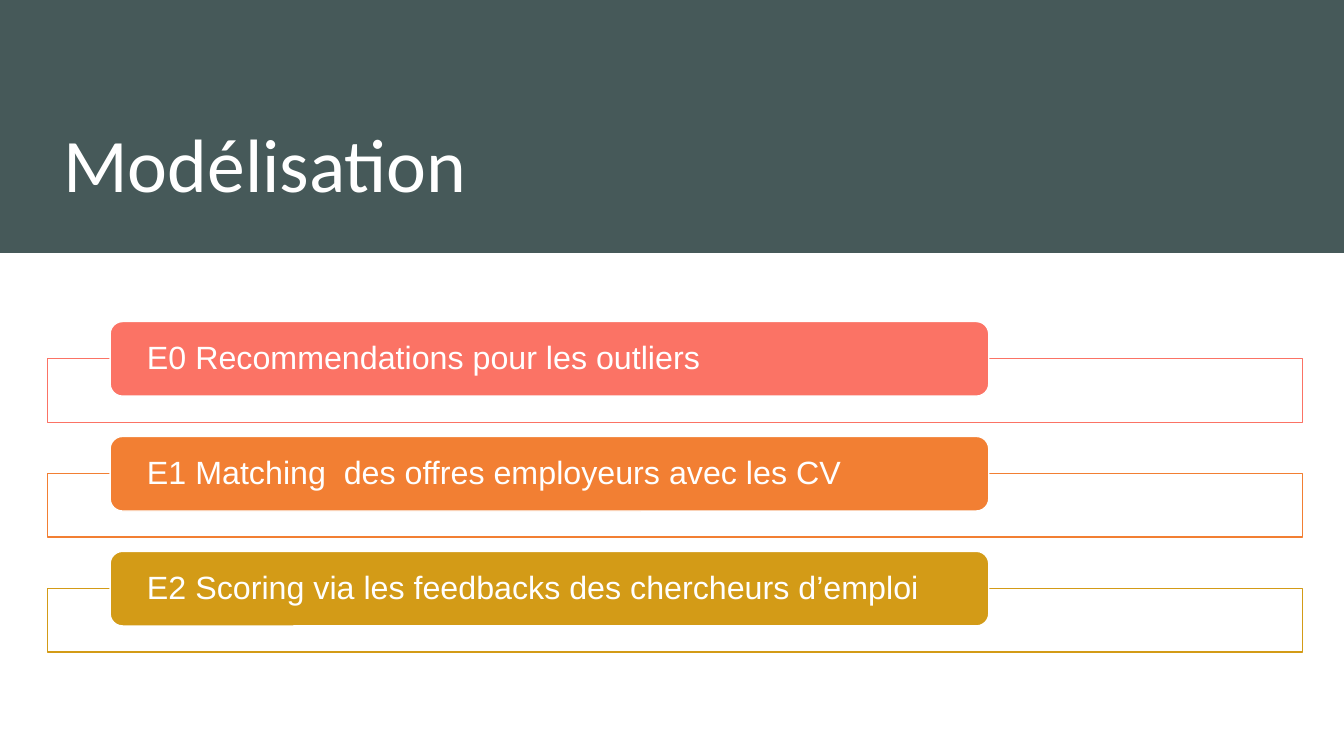
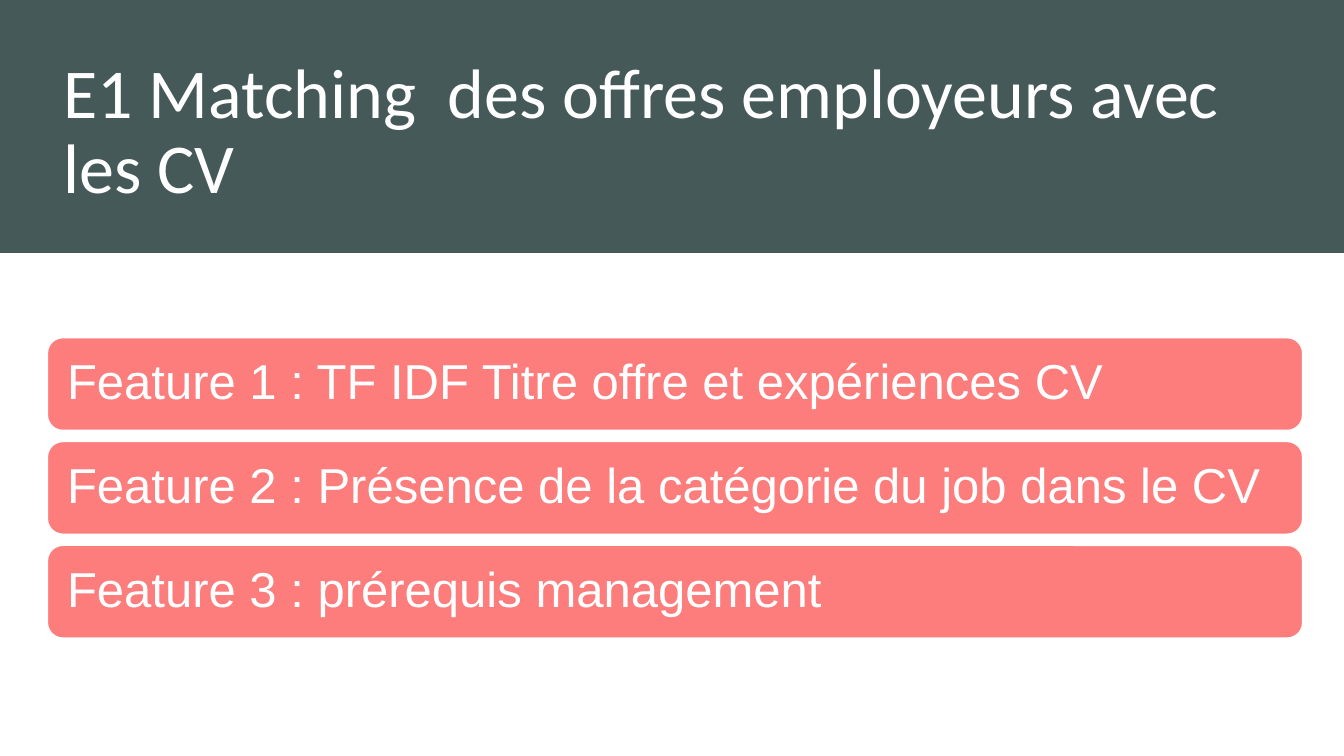
from pptx import Presentation
from pptx.dml.color import RGBColor
from pptx.enum.shapes import MSO_SHAPE
from pptx.enum.text import MSO_ANCHOR, PP_ALIGN
from pptx.util import Inches, Pt

COLORS = {
    "band": "465959",
    "white": "FFFFFF",
    "coral": "FB7365",
    "orange": "F27F33",
    "gold": "D39B17",
    "pink": "FD7C7C",
}
SLIDE_WIDTH, SLIDE_HEIGHT = 13.33, 7.5
BAND_HEIGHT = 2.51
TITLE_BOX = (0.53, 0.4, 11.89, 1.72)
CONTENT_LEFT, CONTENT_WIDTH = 0.47, 12.45

STAGES = [
    ("E0 Recommendations pour les outliers", "coral"),
    ("E1 Matching  des offres employeurs avec les CV", "orange"),
    ("E2 Scoring via les feedbacks des chercheurs d’emploi", "gold"),
]
FEATURES = [
    "Feature 1 : TF IDF Titre offre et expériences CV",
    "Feature 2 : Présence de la catégorie du job dans le CV",
    "Feature 3 : prérequis management",
]


def rgb(name):
    """Return the named colour."""
    return RGBColor.from_string(COLORS[name])


def add_block(slide, kind, box, fill, line=None):
    """Add a flat shape with a fill and an optional outline."""
    block = slide.shapes.add_shape(kind, *map(Inches, box))
    block.shadow.inherit = False
    block.fill.solid()
    block.fill.fore_color.rgb = rgb(fill)
    if line:
        block.line.color.rgb = rgb(line)
        block.line.width = Pt(1)
    else:
        block.line.fill.background()
    return block


def write_text(holder, text, font, size, anchor, insets):
    """Write one left-aligned white line of text in a shape."""
    frame = holder.text_frame
    frame.word_wrap = True
    frame.vertical_anchor = anchor
    side, edge = map(Inches, insets)
    frame.margin_left = frame.margin_right = side
    frame.margin_top = frame.margin_bottom = edge
    paragraph = frame.paragraphs[0]
    paragraph.alignment = PP_ALIGN.LEFT
    paragraph.line_spacing = 0.9
    run = paragraph.add_run()
    run.text = text
    run.font.name = font
    run.font.size = Pt(size)
    run.font.color.rgb = rgb("white")


def add_titled_slide(deck, title, size):
    """Add a blank slide with the dark band and its title."""
    slide = deck.slides.add_slide(deck.slide_layouts[6])
    add_block(slide, MSO_SHAPE.RECTANGLE, (0, 0, SLIDE_WIDTH, BAND_HEIGHT), "band")
    heading = slide.shapes.add_textbox(*map(Inches, TITLE_BOX))
    write_text(heading, title, "Calibri", size, MSO_ANCHOR.BOTTOM, (0.1, 0.05))
    return slide


def add_label(slide, box, text, fill, size, insets):
    """Add a rounded, coloured label with its text."""
    label = add_block(slide, MSO_SHAPE.ROUNDED_RECTANGLE, box, fill, "white")
    write_text(label, text, "Arial", size, MSO_ANCHOR.MIDDLE, insets)


def add_stages(slide, left, top, width, pitch=1.14):
    """Stack the stages, each a label over the top edge of a frame."""
    label_height, frame_height = 0.74, 0.63
    for index, (text, color) in enumerate(STAGES):
        label_top = top + index * pitch
        frame_box = (left, label_top + label_height / 2, width, frame_height)
        add_block(slide, MSO_SHAPE.RECTANGLE, frame_box, "white", color)
        label_box = (left + width * 0.05, label_top, width * 0.7, label_height)
        add_label(slide, label_box, text, color, 23, (0.33, 0))


def add_features(slide, left, top, width, height=0.92, gap=0.11):
    """Stack the features as full-width labels."""
    for index, text in enumerate(FEATURES):
        box = (left, top + index * (height + gap), width, height)
        add_label(slide, box, text, "pink", 35, (0.15, 0.15))


def main():
    """Build and save the two slides."""
    deck = Presentation()
    deck.slide_width = Inches(SLIDE_WIDTH)
    deck.slide_height = Inches(SLIDE_HEIGHT)
    modelling = add_titled_slide(deck, "Modélisation", 54)
    add_stages(modelling, CONTENT_LEFT, 3.19, CONTENT_WIDTH)
    matching = add_titled_slide(deck, STAGES[1][0], 50)
    add_features(matching, CONTENT_LEFT, 3.35, CONTENT_WIDTH)
    deck.save("out.pptx")


if __name__ == "__main__":
    main()
